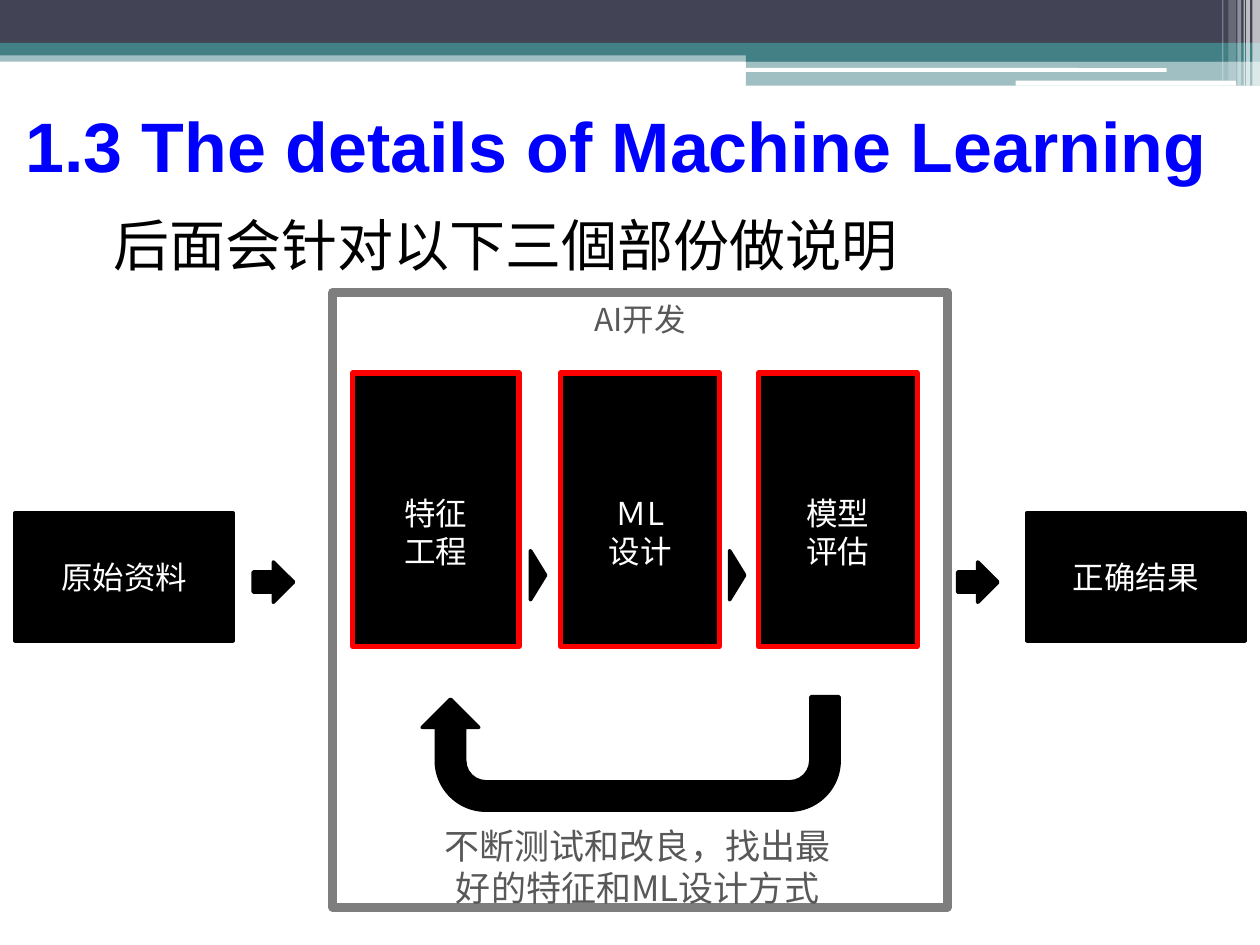
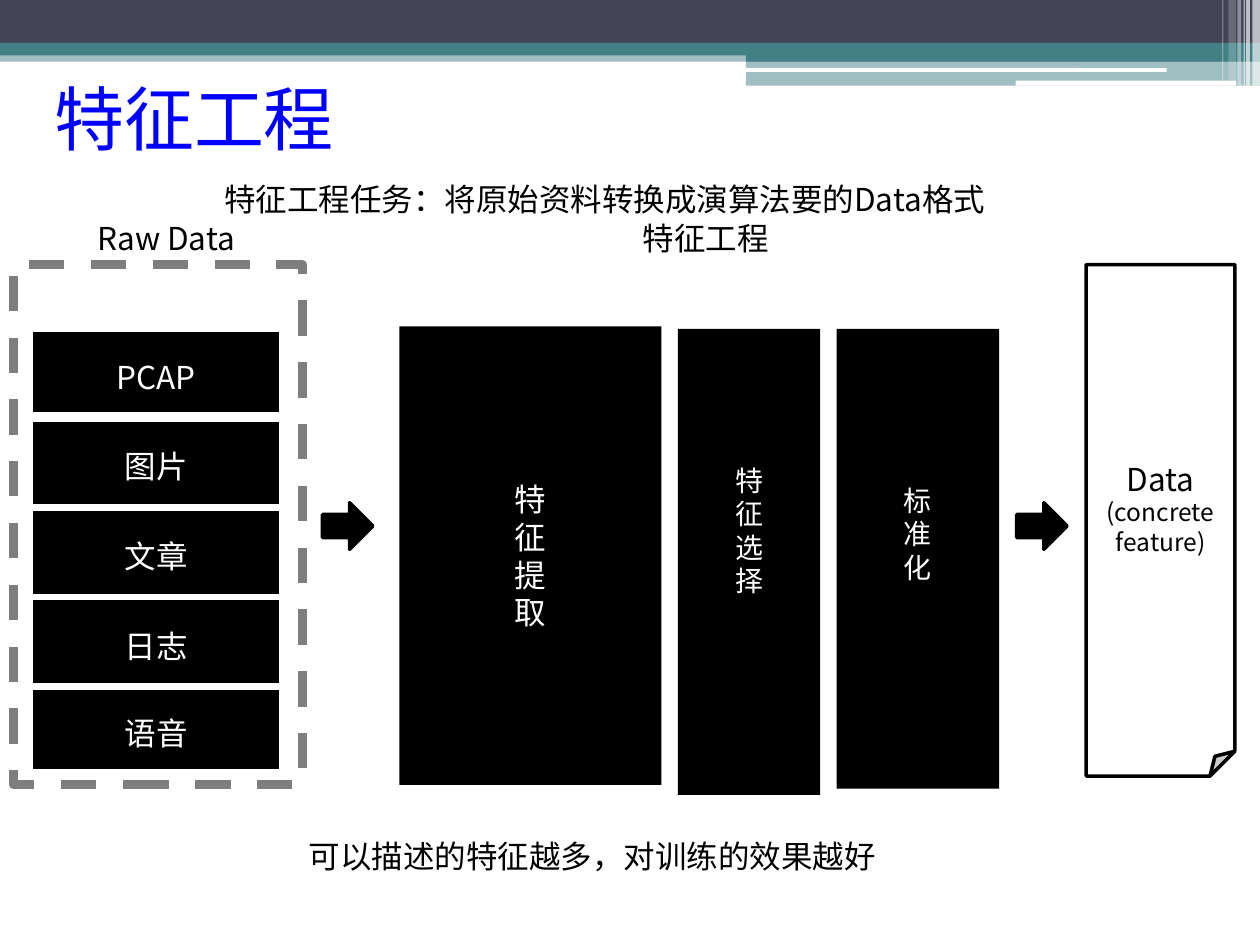
import dataclasses

import lxml.etree
import pptx
import pptx.dml.color
import pptx.enum.dml
import pptx.enum.shapes
import pptx.enum.text
import pptx.oxml.ns
import pptx.util

RGB = pptx.dml.color.RGBColor
SHAPE = pptx.enum.shapes.MSO_SHAPE
ALIGN = pptx.enum.text.PP_ALIGN
MIDDLE = pptx.enum.text.MSO_ANCHOR.MIDDLE
Pt = pptx.util.Pt
qn = pptx.oxml.ns.qn

BLACK = RGB(0x00, 0x00, 0x00)
WHITE = RGB(0xFF, 0xFF, 0xFF)
BLUE = RGB(0x00, 0x00, 0xFF)
RED = RGB(0xFF, 0x00, 0x00)
TEAL = RGB(0x43, 0x80, 0x86)
NAVY = RGB(0x42, 0x44, 0x56)
FRAME_GRAY = RGB(0x7E, 0x7E, 0x7E)
TEXT_GRAY = RGB(0x58, 0x58, 0x58)

SC = "Noto Sans CJK SC"
JP = "Noto Sans CJK JP"
LATIN = "Arial"

CELL = pptx.util.Inches(0.1)
COLS, ROWS = 100, 75
OUTLINE = 2.04
LEADING = 1.2


@dataclasses.dataclass
class Box:
    """A rectangle in grid cells of the slide."""
    x: float
    y: float
    w: float
    h: float

    def sub(self, x, y, w, h):
        return Box(self.x + x, self.y + y, w, h)

    def emu(self):
        return [round(v * CELL) for v in (self.x, self.y, self.w, self.h)]


PAGE = Box(0, 0, COLS, ROWS)

# preset, box, colour, opacity in percent
BANDS = [
    (SHAPE.RECTANGLE, (0, 4, 100, 0.9), TEAL, 50),
    (SHAPE.RECTANGLE, (0, 0, 100, 3.4), NAVY, 100),
    (SHAPE.RECTANGLE, (0, 3.4, 100, 1), TEAL, 100),
    (SHAPE.RECTANGLE, (59.2, 3.9, 40.8, 1), TEAL, 100),
    (SHAPE.RECTANGLE, (59.2, 4.8, 40.8, 2), TEAL, 50),
    (SHAPE.ROUNDED_RECTANGLE, (59.1, 5.4, 33.5, 0.3), WHITE, 100),
    (SHAPE.ROUNDED_RECTANGLE, (80.6, 6.4, 17.5, 0.4), WHITE, 100),
    (SHAPE.RECTANGLE, (99.4, 0, 0.6, 6.8), WHITE, 65),
    (SHAPE.RECTANGLE, (98.9, 0, 0.3, 6.8), WHITE, 65),
    (SHAPE.RECTANGLE, (98.7, 0, 0.1, 6.8), WHITE, 60),
    (SHAPE.RECTANGLE, (98.2, 0, 0.3, 6.8), WHITE, 40),
    (SHAPE.RECTANGLE, (97.5, 0, 0.6, 6.4), WHITE, 20),
    (SHAPE.RECTANGLE, (97, 0, 0.1, 6.4), WHITE, 30),
]


def paint(sp, fill, line=None, width=OUTLINE):
    sp.shadow.inherit = False
    if fill is None:
        sp.fill.background()
    else:
        sp.fill.solid()
        sp.fill.fore_color.rgb = fill
    if line is None:
        sp.line.fill.background()
    else:
        sp.line.color.rgb = line
        sp.line.width = Pt(width)
    return sp


def add_shape(s, preset, box, fill, line=None, width=OUTLINE):
    return paint(s.shapes.add_shape(preset, *box.emu()), fill, line, width)


def format_paragraph(p, size, color, font, align, bold=False):
    p.alignment = align
    p.line_spacing = Pt(size * LEADING)
    p.space_before = Pt(0)
    for r in p.runs:
        r.font.size = Pt(size)
        r.font.bold = bold
        r.font.color.rgb = color
        r.font.name = font
        ea = lxml.etree.SubElement(r.font._element, qn("a:ea"))
        ea.set("typeface", font)


def write(sp, text, size, color, font=SC, align=ALIGN.CENTER, bold=False,
          margins=(0, 0, 0, 0)):
    """Fill the frame; margins are left, top, right, bottom in cells."""
    tf = sp.text_frame
    tf.word_wrap = True
    tf.auto_size = pptx.enum.text.MSO_AUTO_SIZE.NONE
    tf.vertical_anchor = MIDDLE
    (tf.margin_left, tf.margin_top,
     tf.margin_right, tf.margin_bottom) = [round(m * CELL) for m in margins]
    tf.text = text
    for p in tf.paragraphs:
        format_paragraph(p, size, color, font, align, bold)
    return tf


def add_label(s, box, text, size=18, color=BLACK, align=ALIGN.CENTER):
    write(s.shapes.add_textbox(*box.emu()), text, size, color, align=align)


def place(sp, box):
    sp.left, sp.top, sp.width, sp.height = box.emu()
    return sp


def set_title(s, box, text, font, bold=False, inset=0):
    write(place(s.shapes.title, box), text, 40, BLUE, font, ALIGN.LEFT, bold,
          (inset, 0, 0, 0))


def set_lead(s, box, text):
    tf = write(place(s.placeholders[1], box), text, 32, BLACK, align=ALIGN.LEFT)
    pPr = tf.paragraphs[0]._p.get_or_add_pPr()
    pPr.set("marL", "0")
    pPr.set("indent", "0")
    lxml.etree.SubElement(pPr, qn("a:buNone"))


def add_block_arrow(s, box):
    add_shape(s, SHAPE.RIGHT_ARROW, box, BLACK, BLACK)


def add_wedge(s, box):
    x, y, w, h = box.emu()
    fb = s.shapes.build_freeform(x, y)
    fb.add_line_segments([(x + w, y + h // 2), (x, y + h)], close=True)
    paint(fb.convert_to_shape(), BLACK, BLACK)


def move_bands_to_master(prs, s):
    """Draw the top bands with a slide, then hand them to the master."""
    tree = prs.slide_master.shapes.element
    for i, (preset, cells, color, opacity) in enumerate(BANDS):
        sp = add_shape(s, preset, Box(*cells), color)
        if opacity < 100:
            clr = sp.element.spPr.find(qn("a:solidFill"))[0]
            lxml.etree.SubElement(clr, qn("a:alpha")).set("val", str(opacity * 1000))
        sp.element.nvSpPr.cNvPr.set("id", str(100 + i))
        tree.insert(2 + i, sp.element)


def add_endpoint(s, box, text):
    write(add_shape(s, SHAPE.RECTANGLE, box, BLACK, BLACK), text, 18, WHITE, JP)


def add_development_panel(s, box):
    cards = [(1.6, 13.2, "特征\n工程"), (18.1, 12.6, "ＭL\n设计"),
             (33.8, 12.6, "模型\n评估")]
    for x, w, text in cards:
        sp = add_shape(s, SHAPE.RECTANGLE, box.sub(x, 6.4, w, 21.7), BLACK, RED, 3)
        write(sp, text, 18, WHITE, JP, margins=(0, 3.6, 0, 0))
    for x in (15.7, 31.5):
        add_wedge(s, box.sub(x, 20.5, 1.2, 3.9))
    loop = add_shape(s, SHAPE.U_TURN_ARROW, box.sub(7.1, 32.1, 33.1, 9),
                     BLACK, BLACK)
    loop.rotation = 180
    loop.adjustments[4] = 0.98
    add_shape(s, SHAPE.RECTANGLE, box, None, FRAME_GRAY, 5.04)
    add_label(s, box.sub(0, 0.4, box.w, 3.4), "AI开发", color=TEXT_GRAY)
    add_label(s, box.sub(7, 42, 34.4, 7.2),
              "不断测试和改良，找出最\n好的特征和ML设计方式", 20, TEXT_GRAY)


def build_details(s):
    set_title(s, PAGE.sub(1, 2.5, 99, 18),
              "1.3 The details of Machine Learning", LATIN, True, 1)
    set_lead(s, PAGE.sub(9, 16.6, 84.8, 5.6), "后面会针对以下三個部份做说明")
    for x, text in ((1.2, "原始资料"), (81.5, "正确结果")):
        add_endpoint(s, PAGE.sub(x, 40.7, 17.3, 10.2), text)
    for x in (20.1, 76):
        add_block_arrow(s, PAGE.sub(x, 44.6, 3.2, 3.2))
    add_development_panel(s, PAGE.sub(26.4, 23.2, 48.8, 48.8))


def add_border(tcPr, side, width):
    ln = lxml.etree.SubElement(tcPr, qn("a:" + side))
    ln.set("w", str(Pt(width)))
    fill = lxml.etree.SubElement(ln, qn("a:solidFill"))
    lxml.etree.SubElement(fill, qn("a:srgbClr")).set("val", str(WHITE))


def add_raw_data(s, box):
    frame = add_shape(s, SHAPE.RECTANGLE, box, None, FRAME_GRAY, 5.04)
    frame.line.dash_style = pptx.enum.dml.MSO_LINE.DASH
    kinds = ["PCAP", "图片", "文章", "日志", "语音"]
    heights = [7, 7.2, 7.1, 7.1, 6.8]
    edges = [4.25, 6, 4.25, 4.25, 4.25, 4.25]
    area = box.sub(1.5, 5.1, 19.6, sum(heights))
    table = s.shapes.add_table(len(kinds), 1, *area.emu()).table
    table.first_row = table.horz_banding = False
    for i, (kind, height) in enumerate(zip(kinds, heights)):
        table.rows[i].height = round(height * CELL)
        cell = table.cell(i, 0)
        cell.text = kind
        cell.vertical_anchor = MIDDLE
        cell.margin_left = cell.margin_right = cell.margin_bottom = 0
        cell.margin_top = CELL
        tcPr = cell._tc.get_or_add_tcPr()
        add_border(tcPr, "lnT", edges[i])
        add_border(tcPr, "lnB", edges[i + 1])
        cell.fill.solid()
        cell.fill.fore_color.rgb = BLACK
        format_paragraph(cell.text_frame.paragraphs[0], 18, WHITE, JP, ALIGN.CENTER)


def add_stage(s, box, text, size, bottom=0):
    """A bar whose side margins leave room for one character per line."""
    side = (box.w - 3.5) / 2
    write(add_shape(s, SHAPE.RECTANGLE, box, BLACK), text, size, WHITE, JP,
          margins=(side, 0, side, bottom))


def add_stages(s, box):
    add_stage(s, box.sub(0, 0, 20.8, 36.4), "特征提取", 18)
    add_stage(s, box.sub(22.1, 0.2, 11.3, 37), "特征选择", 16, 5)
    add_stage(s, box.sub(34.7, 0.2, 12.9, 36.5), "标准化", 16, 4)


def add_data_page(s, box):
    sp = add_shape(s, SHAPE.FOLDED_CORNER, box, WHITE, BLACK)
    tf = write(sp, "Data\n(concrete feature)", 18, BLACK, JP, margins=(1, 0, 1, 0))
    note = tf.paragraphs[1]
    note.line_spacing = Pt(14 * LEADING)
    note.runs[0].font.size = Pt(14)


def build_features(s):
    set_title(s, PAGE.sub(4.3, 5.9, 25, 6.9), "特征工程", SC)
    add_label(s, PAGE.sub(17.8, 14.2, 66, 3.2),
              "特征工程任务：将原始资料转换成演算法要的Data格式", align=ALIGN.LEFT)
    add_label(s, PAGE.sub(5.2, 17.3, 16, 3.2), "Raw Data")
    add_label(s, PAGE.sub(48, 17.3, 16, 3.2), "特征工程")
    add_raw_data(s, PAGE.sub(1.1, 21, 22.9, 41.3))
    for x in (25.6, 80.7):
        add_block_arrow(s, PAGE.sub(x, 39.9, 4, 3.7))
    add_stages(s, PAGE.sub(31.7, 25.9, 47.6, 37.2))
    add_data_page(s, PAGE.sub(86.2, 21, 11.8, 40.6))
    add_label(s, PAGE.sub(20, 66.2, 54, 3.4),
              "可以描述的特征越多，对训练的效果越好")


def main():
    prs = pptx.Presentation()
    prs.slide_width, prs.slide_height = COLS * CELL, ROWS * CELL
    details = prs.slides.add_slide(prs.slide_layouts.get_by_name("Title and Content"))
    move_bands_to_master(prs, details)
    build_details(details)
    build_features(prs.slides.add_slide(prs.slide_layouts.get_by_name("Title Only")))
    prs.save("out.pptx")


if __name__ == "__main__":
    main()
